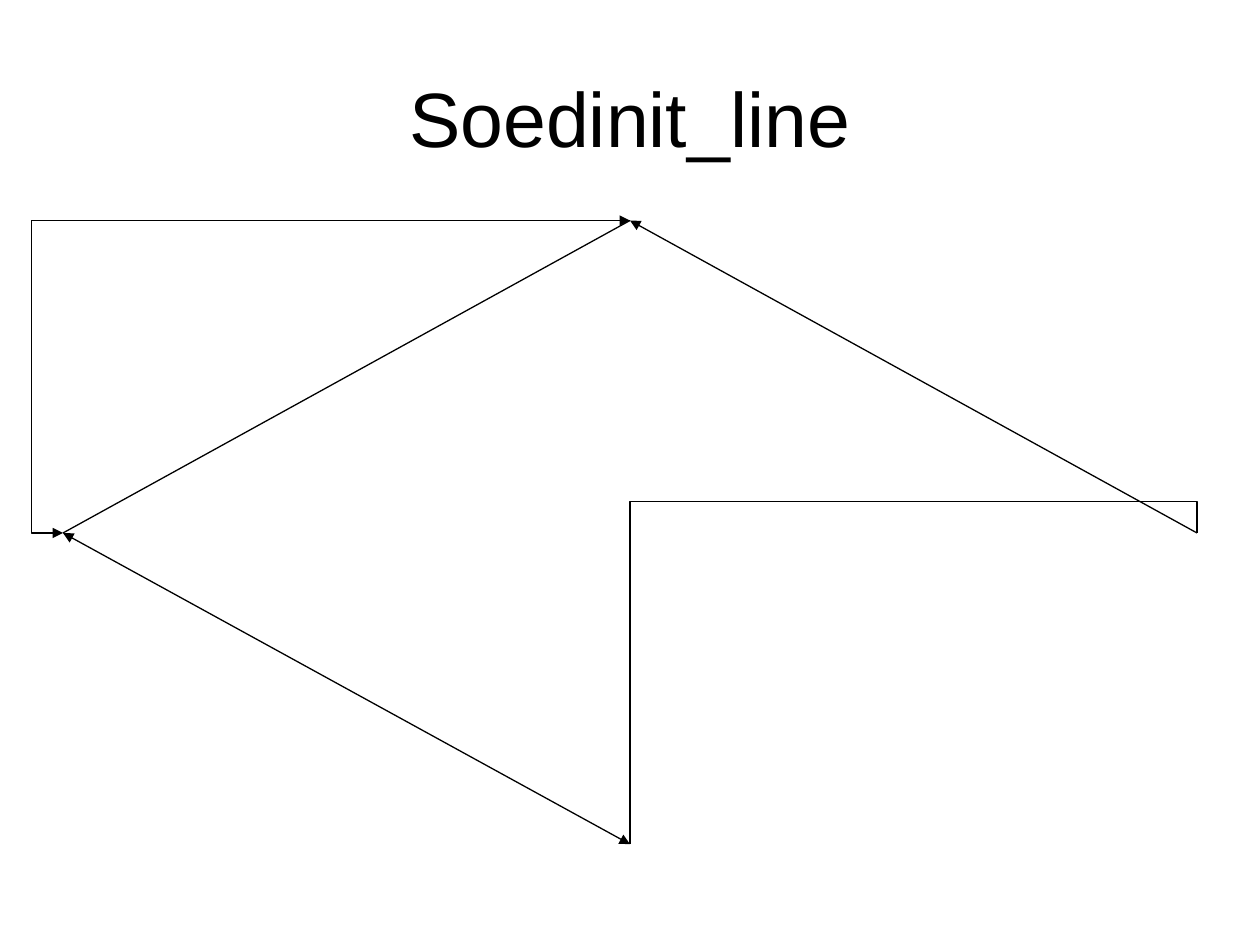
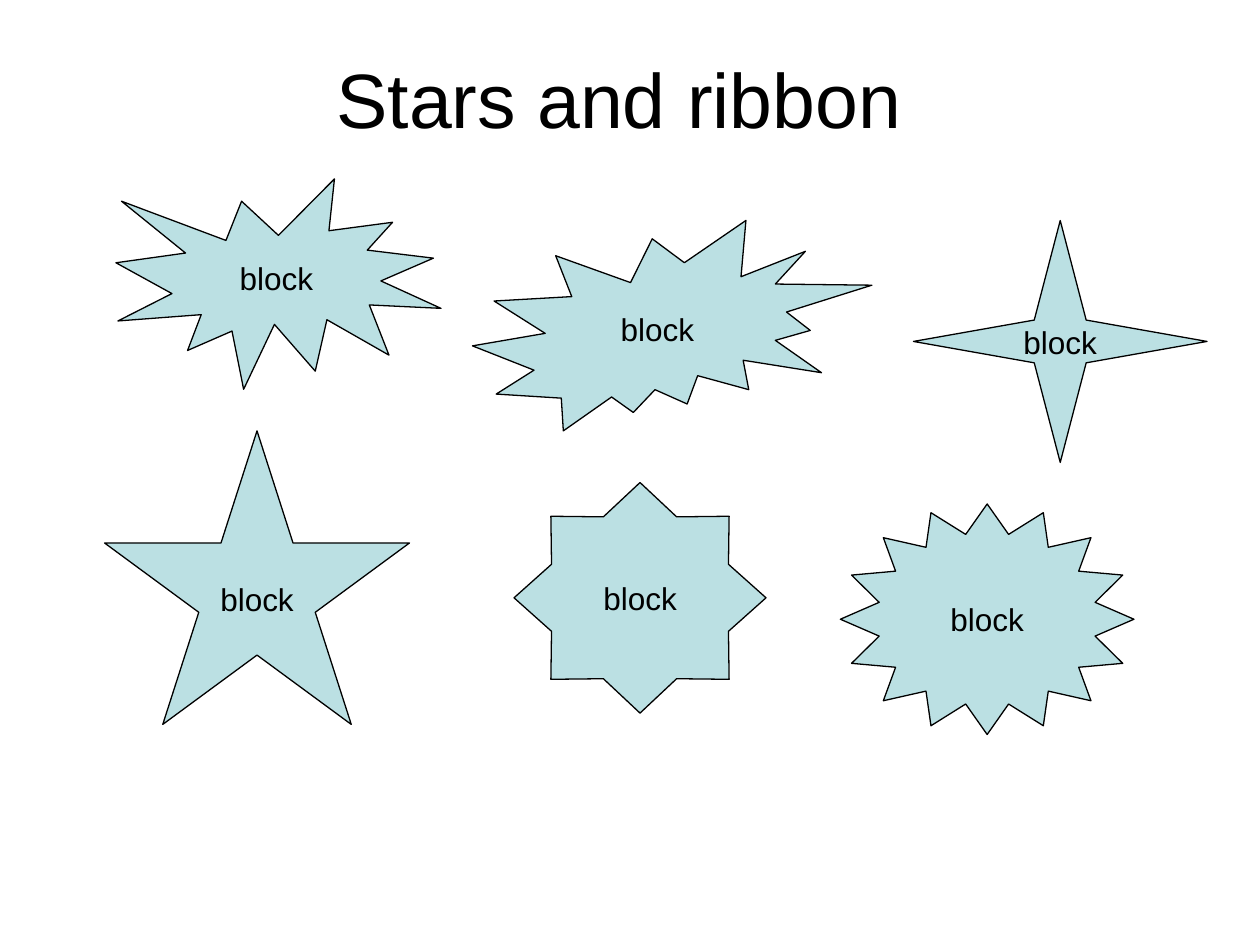
"""Build two slides: connecting lines, and stars with labels."""
from typing import NamedTuple

from lxml.etree import SubElement
from pptx import Presentation
from pptx.dml.color import RGBColor
from pptx.enum.shapes import MSO_CONNECTOR, MSO_SHAPE
from pptx.enum.text import MSO_ANCHOR, PP_ALIGN
from pptx.oxml.ns import qn
from pptx.util import Inches, Pt

COLORS = {"ink": "000000", "star": "BBE0E3"}
FONT = "Arial"
LINE_WIDTH = Pt(0.75)

TOP, LEFT, RIGHT, BOTTOM = (5, 1.75), (0.5, 4.23), (9.5, 4.23), (5, 6.7)
ELBOW_OUT = 0.25


class Link(NamedTuple):
    points: tuple[tuple[float, float], ...]
    head: bool = False
    tail: bool = False


class Star(NamedTuple):
    kind: MSO_SHAPE
    x: float
    y: float
    w: float
    h: float
    depth: float | None = None


LINKS = (
    Link((LEFT, TOP)),
    Link((RIGHT, TOP), tail=True),
    Link((LEFT, BOTTOM), head=True, tail=True),
    Link((RIGHT, (RIGHT[0], RIGHT[1] - ELBOW_OUT),
          (BOTTOM[0], RIGHT[1] - ELBOW_OUT), BOTTOM)),
    Link((LEFT, (LEFT[0] - ELBOW_OUT, LEFT[1]),
          (LEFT[0] - ELBOW_OUT, TOP[1]), TOP), head=True, tail=True),
)

STARS = (
    Star(MSO_SHAPE.EXPLOSION1, 0.92, 1.42, 2.58, 1.67),
    Star(MSO_SHAPE.EXPLOSION2, 3.75, 1.75, 3.17, 1.67),
    Star(MSO_SHAPE.STAR_4_POINT, 7.25, 1.75, 2.33, 1.92),
    Star(MSO_SHAPE.STAR_5_POINT, 0.83, 3.42, 2.42, 2.33),
    Star(MSO_SHAPE.STAR_8_POINT, 4.08, 3.83, 2, 1.83, depth=0.38),
    Star(MSO_SHAPE.STAR_16_POINT, 6.67, 4, 2.33, 1.83),
)


def rgb(name: str) -> RGBColor:
    return RGBColor.from_string(COLORS[name])


def write(sp, text: str, *, size: float, wrap: bool = True, color: str = "ink") -> None:
    tf = sp.text_frame
    tf.word_wrap = wrap
    tf.vertical_anchor = MSO_ANCHOR.MIDDLE
    p = tf.paragraphs[0]
    p.alignment = PP_ALIGN.CENTER
    r = p.add_run()
    r.text = text
    r.font.name = FONT
    r.font.size = Pt(size)
    r.font.color.rgb = rgb(color)


def set_line(sp) -> None:
    sp.line.color.rgb = rgb("ink")
    sp.line.width = LINE_WIDTH


def add_titled_slide(prs, title: str, height: float):
    s = prs.slides.add_slide(prs.slide_layouts[6])
    box = s.shapes.add_textbox(Inches(0.5), Inches(0.3), Inches(9), Inches(height))
    write(box, title, size=44)
    return s


def add_link(s, link: Link) -> None:
    points = [(Inches(x), Inches(y)) for x, y in link.points]
    if len(points) == 2:
        sp = s.shapes.add_connector(MSO_CONNECTOR.STRAIGHT, *points[0], *points[1])
        SubElement(sp._element.spPr, qn("a:effectLst"))
    else:
        builder = s.shapes.build_freeform(*points[0])
        builder.add_line_segments(points[1:], close=False)
        sp = builder.convert_to_shape()
        sp.fill.background()
        sp.shadow.inherit = False
    set_line(sp)
    ln = sp.line._get_or_add_ln()
    for tag, shown in (("a:headEnd", link.head), ("a:tailEnd", link.tail)):
        if shown:
            SubElement(ln, qn(tag), type="triangle")


def add_star(s, star: Star) -> None:
    box = (Inches(v) for v in (star.x, star.y, star.w, star.h))
    sp = s.shapes.add_shape(star.kind, *box)
    if star.depth is not None:
        sp.adjustments[0] = star.depth
    sp.shadow.inherit = False
    sp.fill.solid()
    sp.fill.fore_color.rgb = rgb("star")
    set_line(sp)
    write(sp, "block", size=18, wrap=False)


def main() -> None:
    prs = Presentation()
    prs.slide_width, prs.slide_height = Inches(10), Inches(7.5)
    s = add_titled_slide(prs, "Soedinit_line", 1.25)
    for link in LINKS:
        add_link(s, link)
    s = add_titled_slide(prs, "Stars and ribbon ", 0.95)
    for star in STARS:
        add_star(s, star)
    prs.save("out.pptx")


if __name__ == "__main__":
    main()
